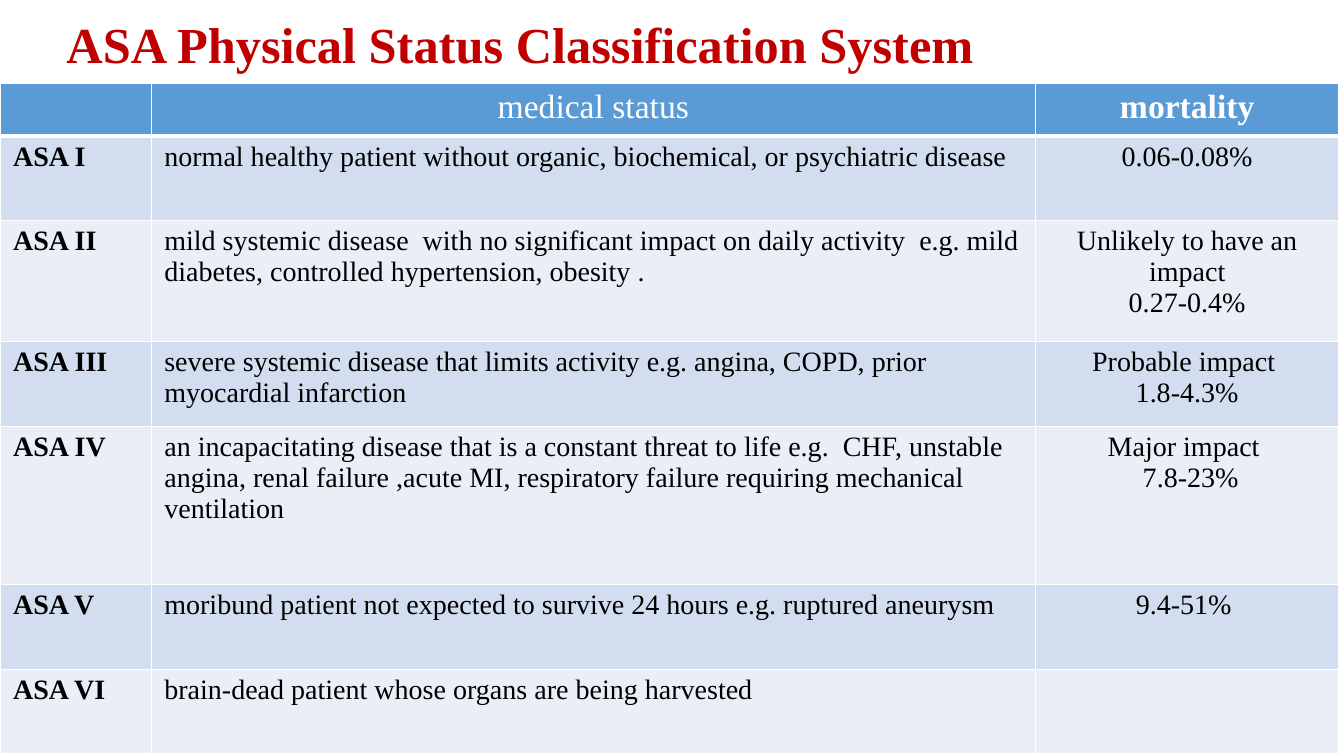
from pptx import Presentation
from pptx import util as u
from pptx.dml.color import RGBColor
from pptx.enum import text
from pptx.oxml import parse_xml
from pptx.oxml.ns import nsdecls

FONT = "Times New Roman"
WHITE, BLACK, RED = "FFFFFF", "000000", "C00000"
HEADER_BLUE = "5B9BD5"
BANDS = ("D2DEEF", "EAEFF7")

COLUMN_WIDTHS = (1.5, 8.77, 3.01)
ROW_HEIGHTS = (0.52, 0.84, 1.2, 0.84, 1.57, 0.84, 0.84)

# Class, medical status, mortality; a line break starts a new paragraph
ROWS = (
    ("", "medical status", "mortality"),
    ("ASA I",
     "normal healthy patient without organic, biochemical, or psychiatric disease",
     "0.06-0.08%"),
    ("ASA II",
     "mild systemic disease  with no significant impact on daily activity  "
     "e.g. mild diabetes, controlled hypertension, obesity .",
     "Unlikely to have an impact\n0.27-0.4%"),
    ("ASA III",
     "severe systemic disease that limits activity e.g. angina, COPD, "
     "prior myocardial infarction",
     "Probable impact \n 1.8-4.3% "),
    ("ASA IV",
     "an incapacitating disease that is a constant threat to life e.g.  CHF, "
     "unstable angina, renal failure ,acute MI, respiratory failure requiring "
     "mechanical ventilation",
     "Major impact \n 7.8-23%"),
    ("ASA V",
     "moribund patient not expected to survive 24 hours e.g. ruptured aneurysm",
     "9.4-51% "),
    ("ASA VI", "brain-dead patient whose organs are being harvested", ""),
)


def color(value):
    return RGBColor.from_string(value)


def write(frame, content, size, ink, bold, align):
    frame.text = content
    for paragraph in frame.paragraphs:
        paragraph.alignment = align
        font = paragraph.font
        font.name, font.size, font.bold = FONT, u.Pt(size), bold
        font.color.rgb = color(ink)


def add_borders(cell, bottom):
    properties = cell._tc.get_or_add_tcPr()
    for side, width in (("L", 1), ("R", 1), ("T", 1), ("B", bottom)):
        properties.append(parse_xml(
            f'<a:ln{side} {nsdecls("a")} w="{u.Pt(width)}"><a:solidFill>'
            f'<a:srgbClr val="{WHITE}"/></a:solidFill></a:ln{side}>'))


def style_cell(cell, content, row, column):
    header = row == 0
    add_borders(cell, bottom=3 if header else 1)
    cell.fill.solid()
    cell.fill.fore_color.rgb = color(HEADER_BLUE if header else BANDS[(row - 1) % 2])
    cell.margin_left = cell.margin_right = u.Inches(0.13)
    cell.margin_top = cell.margin_bottom = u.Inches(0.05)
    centred = header or column == 2
    write(cell.text_frame, content,
          size=24 if header else 20,
          ink=WHITE if header else BLACK,
          bold=column == (2 if header else 0),
          align=text.PP_ALIGN.CENTER if centred else text.PP_ALIGN.LEFT)


def add_status_table(slide):
    table = slide.shapes.add_table(
        len(ROWS), len(COLUMN_WIDTHS), u.Inches(0), u.Inches(0.83),
        u.Inches(sum(COLUMN_WIDTHS)), u.Inches(sum(ROW_HEIGHTS))).table
    for column, width in zip(table.columns, COLUMN_WIDTHS):
        column.width = u.Inches(width)
    for row, height in zip(table.rows, ROW_HEIGHTS):
        row.height = u.Inches(height)
    for r, entries in enumerate(ROWS):
        for c, content in enumerate(entries):
            style_cell(table.cell(r, c), content, r, c)


def add_title(slide, content):
    frame = slide.shapes.add_textbox(
        u.Inches(0.56), u.Inches(0.08), u.Inches(12.22), u.Inches(0.71)).text_frame
    frame.word_wrap = True
    frame.auto_size = text.MSO_AUTO_SIZE.SHAPE_TO_FIT_TEXT
    write(frame, content, 36, RED, True, text.PP_ALIGN.LEFT)


def main():
    deck = Presentation()
    deck.slide_width, deck.slide_height = u.Inches(13.33), u.Inches(7.5)
    slide = deck.slides.add_slide(deck.slide_layouts[6])
    add_status_table(slide)
    add_title(slide, "ASA Physical Status Classification System")
    deck.save("out.pptx")


if __name__ == "__main__":
    main()
